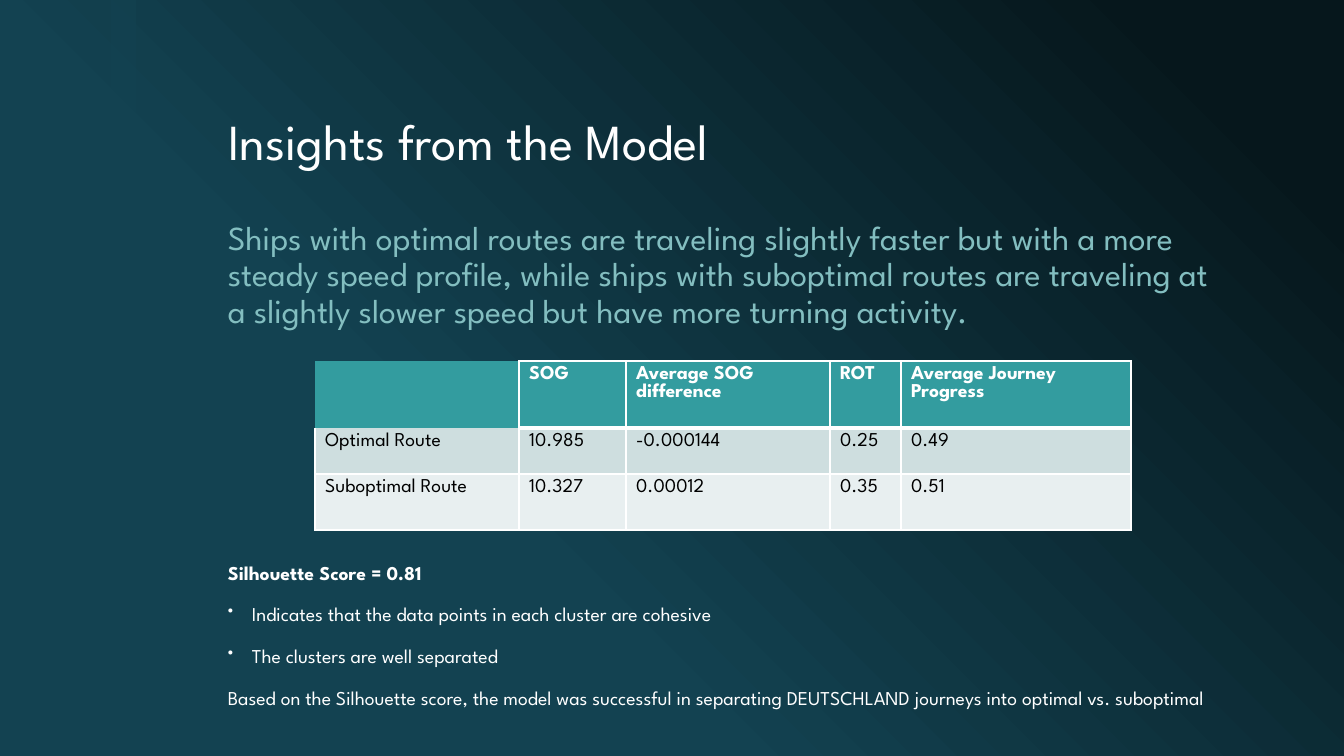
from copy import deepcopy

from lxml import etree
from pptx import Presentation
from pptx import util as u
from pptx.dml.color import RGBColor
from pptx.enum import shapes, text
from pptx.oxml import ns

PX = u.Inches(7.5) / 756
FONT = "League Spartan"
WHITE = RGBColor(0xFF, 0xFF, 0xFF)
BLACK = RGBColor(0x00, 0x00, 0x00)
NIGHT = RGBColor(0x06, 0x17, 0x1C)
DEEP = RGBColor(0x13, 0x42, 0x51)
MIST = RGBColor(0x83, 0xBE, 0xC0)
TEAL = RGBColor(0x33, 0x9C, 0x9F)
BANDS = [RGBColor(0xCE, 0xDE, 0xDF), RGBColor(0xE8, 0xEF, 0xF0)]

LEFT, WIDTH = 218, 1008
COLUMNS = [204, 107, 204, 71, 230]
ROWS = [67, 46, 56]
RESULTS = [
    ["", "SOG", "Average SOG difference", "ROT", "Average Journey Progress"],
    ["Optimal Route", "10.985", "-0.000144", "0.25", "0.49"],
    ["Suboptimal Route", "10.327", "0.00012", "0.35", "0.51"],
]
SUMMARY = (
    "Ships with optimal routes are traveling slightly faster but with a more "
    "steady speed profile, while ships with suboptimal routes are traveling at "
    "a slightly slower speed but have more turning activity."
)
FINDINGS = [
    ("Silhouette Score = 0.81", True, False),
    ("Indicates that the data points in each cluster are cohesive", False, True),
    ("The clusters are well separated", False, True),
    ("Based on the Silhouette score, the model was successful in separating "
     "DEUTSCHLAND journeys into optimal vs. suboptimal", False, False),
]


def px(length):
    return u.Emu(round(length * PX))


def apply(target, values):
    for name, value in values.items():
        setattr(target, name, value)


def add_child(parent, tag, **attributes):
    return etree.SubElement(parent, ns.qn(tag), attributes)


def write(para, words, size, color, bold=False, **layout):
    span = para.add_run()
    span.text = words
    apply(span.font, {"name": FONT, "size": u.Pt(size), "bold": bold})
    span.font.color.rgb = color
    apply(para, {"alignment": text.PP_ALIGN.LEFT, **layout})


def set_frame(box, top, height, anchor):
    apply(box, {"left": px(LEFT), "top": px(top),
                "width": px(WIDTH), "height": px(height)})
    apply(box.text_frame, {"word_wrap": True, "vertical_anchor": anchor,
                           "auto_size": text.MSO_AUTO_SIZE.NONE})
    return box.text_frame


def add_text_box(page, top, height, anchor):
    box = page.shapes.add_textbox(0, 0, px(WIDTH), px(height))
    return set_frame(box, top, height, anchor)


def paint_background(page):
    fill = page.background.fill
    fill.gradient()
    fill.gradient_angle = 225
    stop_list = next(page.background._cSld.iter(ns.qn("a:gsLst")))
    stop_list.append(deepcopy(stop_list[-1]))
    stops = [(0.1, NIGHT), (0.65, DEEP), (1.0, DEEP)]
    for stop, (position, color) in zip(fill.gradient_stops, stops):
        stop.position = position
        stop.color.rgb = color


def add_strip(page):
    strip = page.shapes.add_shape(
        shapes.MSO_SHAPE.RECTANGLE, px(111), 0, px(25), px(756))
    strip.shadow.inherit = False
    strip.line.fill.background()
    strip.fill.solid()
    strip.fill.fore_color.rgb = DEEP
    color = next(strip._element.spPr.iter(ns.qn("a:srgbClr")))
    add_child(color, "a:alpha", val="60000")


def add_bullet(para):
    properties = para._p.get_or_add_pPr()
    indent = px(24)
    properties.set("marL", str(indent))
    properties.set("indent", str(-indent))
    add_child(properties, "a:buSzPct", val="80000")
    add_child(properties, "a:buChar", char="•")


def set_borders(cell, widths):
    properties = cell._tc.get_or_add_tcPr()
    for side, width in zip("LRTB", widths):
        line = add_child(properties, f"a:ln{side}", w=str(u.Pt(width)))
        if width:
            fill = add_child(line, "a:solidFill")
            add_child(fill, "a:srgbClr", val=str(WHITE))
        else:
            add_child(line, "a:noFill")


def border_widths(row, column):
    if row == 0:
        return (0, 1, 0, 0) if column == 0 else (1, 1, 1, 3)
    top = 1 if row > 1 else 3 if column else 0
    return 1, 1, top, 1


def add_results(page):
    frame = page.shapes.add_table(
        len(ROWS), len(COLUMNS), px(315), px(361), px(sum(COLUMNS)), px(sum(ROWS)))
    table = frame.table
    apply(table, {"first_row": False, "horz_banding": False})
    for column, width in zip(table.columns, COLUMNS):
        column.width = px(width)
    for row, height in zip(table.rows, ROWS):
        row.height = px(height)
    for i, labels in enumerate(RESULTS):
        for j, label in enumerate(labels):
            cell = table.cell(i, j)
            set_borders(cell, border_widths(i, j))
            cell.fill.solid()
            cell.fill.fore_color.rgb = BANDS[i - 1] if i else TEAL
            if label:
                write(cell.text_frame.paragraphs[0], label, 14,
                      BLACK if i else WHITE, bold=i == 0)


def add_findings(page):
    frame = add_text_box(page, 562, 176, text.MSO_ANCHOR.TOP)
    for i, (words, bold, bulleted) in enumerate(FINDINGS):
        para = frame.add_paragraph() if i else frame.paragraphs[0]
        write(para, words, 14, WHITE, bold, line_spacing=0.7, space_before=u.Pt(18))
        if bulleted:
            add_bullet(para)


def main():
    deck = Presentation()
    apply(deck, {"slide_width": px(1344), "slide_height": px(756)})
    page = deck.slides.add_slide(deck.slide_layouts[5])
    paint_background(page)
    add_strip(page)
    title = set_frame(page.shapes.title, 42, 134, text.MSO_ANCHOR.BOTTOM)
    write(title.paragraphs[0], "Insights from the Model", 36, WHITE, line_spacing=0.9)
    summary = add_text_box(page, 190, 172, text.MSO_ANCHOR.MIDDLE)
    write(summary.paragraphs[0], SUMMARY, 24, MIST, line_spacing=0.9)
    add_findings(page)
    add_results(page)
    deck.save("out.pptx")


if __name__ == "__main__":
    main()
